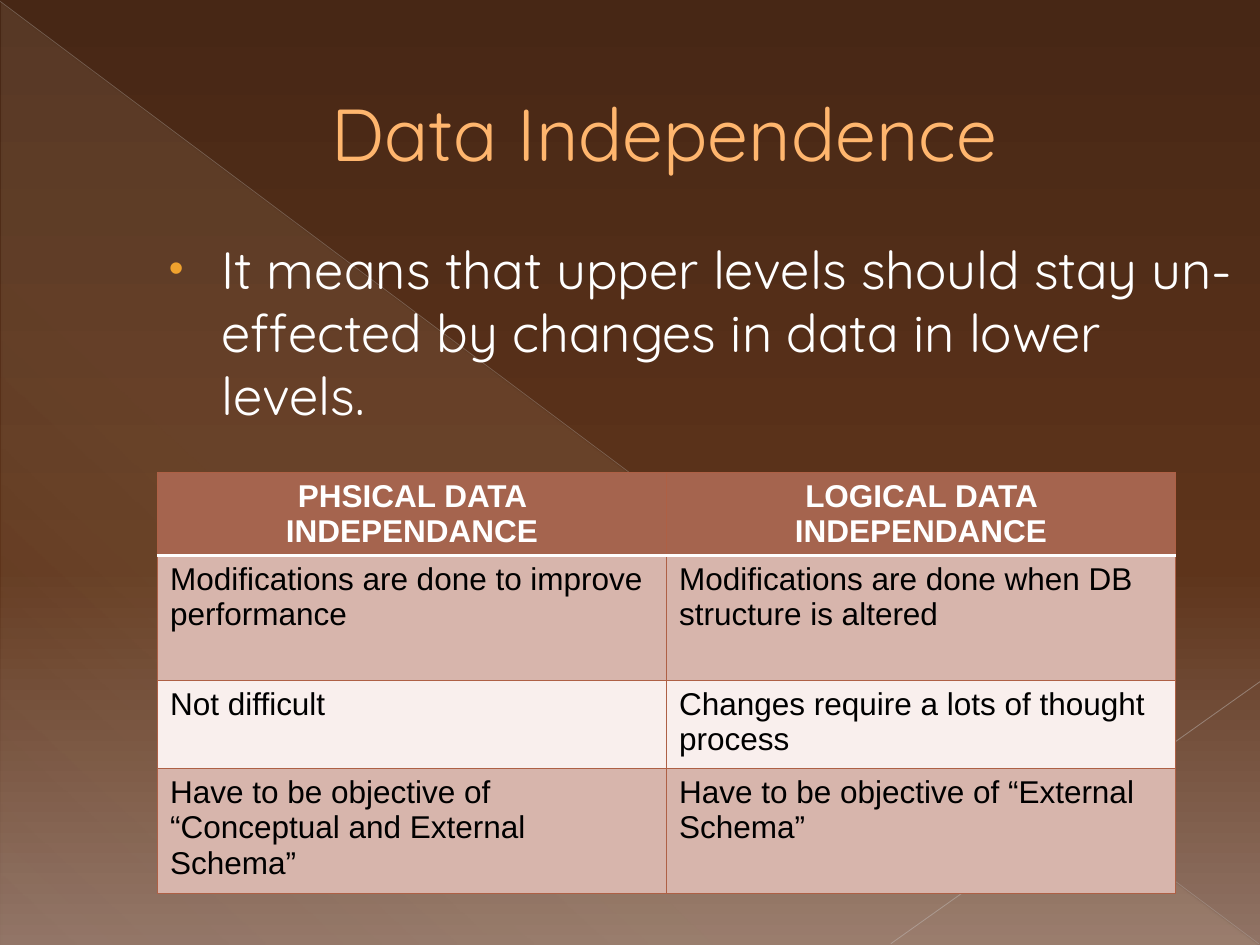
from lxml import etree
from pptx import Presentation
from pptx.dml.color import RGBColor
from pptx.enum.shapes import MSO_CONNECTOR, MSO_SHAPE
from pptx.enum.text import MSO_ANCHOR, MSO_AUTO_SIZE, PP_ALIGN
from pptx.oxml import parse_xml
from pptx.oxml.ns import nsdecls, qn
from pptx.util import Inches, Pt

LEFT, CENTER = PP_ALIGN.LEFT, PP_ALIGN.CENTER
TOP, MIDDLE = MSO_ANCHOR.TOP, MSO_ANCHOR.MIDDLE
STRAIGHT, RIGHT_TRIANGLE = MSO_CONNECTOR.STRAIGHT, MSO_SHAPE.RIGHT_TRIANGLE
NO_AUTOFIT = MSO_AUTO_SIZE.NONE

# Content
TITLE = "Data Independence"
POINT = ("It means that upper levels should stay un-effected by changes "
         "in data in lower levels.")
TABLE_ROWS = [
    ("PHSICAL DATA INDEPENDANCE", "LOGICAL DATA INDEPENDANCE"),
    ("Modifications are done to improve performance",
     "Modifications are done when DB structure is altered"),
    ("Not difficult", "Changes require a lots of thought process"),
    ("Have to be objective of “Conceptual and External Schema”",
     "Have to be objective of “External Schema”"),
]

# Theme
THEME = {
    "title": {"name": "Quicksand", "size": 42, "color": "FFB66E", "bold": False},
    "body": {"name": "Quicksand", "size": 30, "color": "FFFFFF", "bold": False},
    "header": {"name": "Arial", "size": 18, "color": "FFFFFF", "bold": True},
    "cell": {"name": "Arial", "size": 18, "color": "000000", "bold": False},
    "bullet": "F0A22E",
    "header_fill": "A5644E",
    "bands": ("D7B5AC", "F9EFED"),
    "grid": ("AE6045", 0.75),
    "header_rule": ("FFFFFF", 2),
    # Gradient stops: position %, colour, opacity %
    "background": [(0, "472715", 100), (60, "5E341B", 100), (100, "907365", 100)],
    "glow": [(0, "FBEEC9", 10), (70, "FBEEC9", 8), (100, "FBEEC9", 1)],
}

# Layout in inches
TITLE_BOX = (2, 0.21, 8, 1.67)
BODY_BOX = (1.17, 1.83, 8.83, 4.5)
GLOW_BOX = (0.01, 0.02, 9.98, 7.48)
TABLE_LEFT, TABLE_TOP, TABLE_WIDTH = 1.25, 3.75, 8.08
ROW_HEIGHTS = (0.66, 0.99, 0.7, 0.99)
# Start, end, colour, width in points, opacity %
RAYS = [
    ((0, 0.01), (9.99, 7.49), "BCB7B4", 0.39, 35),
    ((10, 5.41), (7.07, 7.49), "C4BFBD", 0.47, 45),
]


def gradient(stops, angle):
    marks = "".join(
        f'<a:gs pos="{pos * 1000}"><a:srgbClr val="{color}">'
        f'<a:alpha val="{opacity * 1000}"/></a:srgbClr></a:gs>'
        for pos, color, opacity in stops)
    return parse_xml(
        f'<a:gradFill {nsdecls("a")} rotWithShape="1"><a:gsLst>{marks}</a:gsLst>'
        f'<a:lin ang="{angle * 60000}" scaled="0"/></a:gradFill>')


def swap_solid_fill(properties, new_fill):
    properties.replace(properties.find(qn("a:solidFill")), new_fill)


def style_font(paragraph, style):
    font = paragraph.font
    values = {**style, "size": Pt(style["size"])}
    font.color.rgb = RGBColor.from_string(values.pop("color"))
    for attribute, value in values.items():
        setattr(font, attribute, value)


def fill_placeholder(placeholder, box, text, style, anchor, indents):
    for attribute, value in zip(("left", "top", "width", "height"), box):
        setattr(placeholder, attribute, Inches(value))
    frame = placeholder.text_frame
    frame.text = text
    frame.word_wrap = True
    frame.auto_size = NO_AUTOFIT
    frame.vertical_anchor = anchor
    paragraph = frame.paragraphs[0]
    paragraph.alignment = LEFT
    paragraph.space_before = Pt(0)
    properties = paragraph._p.get_or_add_pPr()
    for attribute, value in zip(("marL", "indent"), indents):
        properties.set(attribute, str(Inches(value)))
    return paragraph


def add_bullet(paragraph, color):
    properties = paragraph._p.get_or_add_pPr()
    bullet_color = etree.SubElement(properties, qn("a:buClr"))
    etree.SubElement(bullet_color, qn("a:srgbClr"), val=color)
    etree.SubElement(properties, qn("a:buSzPct"), val="80000")
    etree.SubElement(properties, qn("a:buFont"), typeface="Arial")
    etree.SubElement(properties, qn("a:buChar"), char="•")


def set_borders(cell, borders):
    properties = cell._tc.get_or_add_tcPr()
    for index, (side, (color, width)) in enumerate(borders.items()):
        properties.insert(index, parse_xml(
            f'<a:{side} {nsdecls("a")} w="{Pt(width)}"><a:solidFill>'
            f'<a:srgbClr val="{color}"/></a:solidFill></a:{side}>'))


def add_backdrop(slide):
    slide.background.fill.solid()
    swap_solid_fill(slide.element.find(".//" + qn("p:bgPr")),
                    gradient(THEME["background"], 90))

    # Pale corner glow
    glow = slide.shapes.add_shape(RIGHT_TRIANGLE, *map(Inches, GLOW_BOX))
    glow.shadow.inherit = False
    glow.line.fill.background()
    glow.fill.solid()
    swap_solid_fill(glow._element.spPr, gradient(THEME["glow"], 133))
    backdrop = [glow]

    # Thin translucent rays
    for start, end, color, width, opacity in RAYS:
        ray = slide.shapes.add_connector(STRAIGHT, *map(Inches, start + end))
        ray.line.width = Pt(width)
        ray.line.color.rgb = RGBColor.from_string(color)
        properties = ray._element.spPr
        etree.SubElement(properties.find(".//" + qn("a:srgbClr")),
                         qn("a:alpha"), val=str(opacity * 1000))
        etree.SubElement(properties, qn("a:effectLst"))
        backdrop.append(ray)

    # Send behind the placeholders
    for index, part in enumerate(backdrop, start=2):
        slide.shapes._spTree.insert(index, part._element)


def add_comparison(slide):
    columns = len(TABLE_ROWS[0])
    table = slide.shapes.add_table(
        len(TABLE_ROWS), columns,
        *map(Inches, (TABLE_LEFT, TABLE_TOP, TABLE_WIDTH, sum(ROW_HEIGHTS)))).table
    for column in table.columns:
        column.width = Inches(TABLE_WIDTH / columns)
    for r, (texts, height) in enumerate(zip(TABLE_ROWS, ROW_HEIGHTS)):
        table.rows[r].height = Inches(height)
        is_header = r == 0
        fill = THEME["header_fill"] if is_header else THEME["bands"][(r - 1) % 2]
        borders = dict.fromkeys(("lnL", "lnR", "lnT", "lnB"), THEME["grid"])
        if is_header:
            borders["lnB"] = THEME["header_rule"]
        elif r == 1:
            borders["lnT"] = THEME["header_rule"]
        for c, text in enumerate(texts):
            cell = table.cell(r, c)
            cell.text = text
            cell.fill.solid()
            cell.fill.fore_color.rgb = RGBColor.from_string(fill)
            set_borders(cell, borders)
            paragraph = cell.text_frame.paragraphs[0]
            paragraph.alignment = CENTER if is_header else LEFT
            style_font(paragraph, THEME["header" if is_header else "cell"])


def main():
    deck = Presentation()
    deck.slide_width, deck.slide_height = Inches(10), Inches(7.5)
    slide = deck.slides.add_slide(deck.slide_layouts[1])
    add_backdrop(slide)

    # Title and bullet
    title = fill_placeholder(slide.shapes.title, TITLE_BOX, TITLE,
                             THEME["title"], MIDDLE, (0.53, 0))
    style_font(title, THEME["title"])
    point = fill_placeholder(slide.placeholders[1], BODY_BOX, POINT,
                             THEME["body"], TOP, (0.49, -0.42))
    add_bullet(point, THEME["bullet"])
    style_font(point, THEME["body"])

    add_comparison(slide)
    deck.save("out.pptx")


if __name__ == "__main__":
    main()
